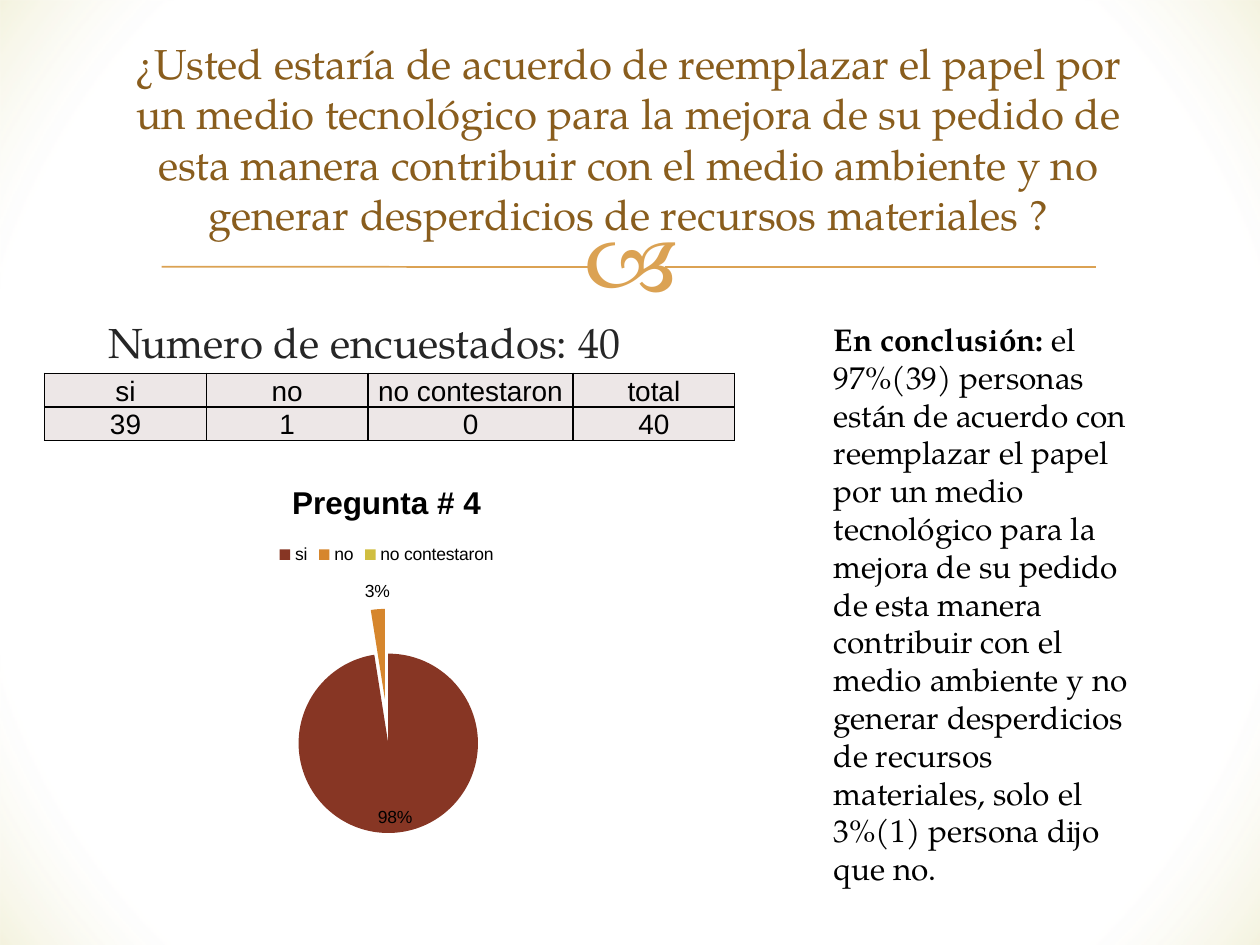
import pptx
import pptx.chart.data
import pptx.dml.color
import pptx.enum.chart
import pptx.enum.shapes
import pptx.enum.text
import pptx.oxml
import pptx.oxml.ns
import pptx.util
from dataclasses import dataclass

Pt = pptx.util.Pt
ALIGN = pptx.enum.text.PP_ALIGN
ANCHOR = pptx.enum.text.MSO_ANCHOR
NS = pptx.oxml.ns.nsdecls("a", "c")


@dataclass(frozen=True)
class Theme:
    serif: str = "TeX Gyre Pagella"
    sans: str = "Arial"
    symbol: str = "Open Sans"
    gold: str = "DBA253"
    brown: str = "895D1D"
    dark: str = "262626"
    black: str = "000000"
    cell: str = "EDE7E7"
    glow: str = "D0C974"
    white: str = "FFFFFF"
    pie: tuple = ("873624", "D6862D", "D0BE40")
    big: int = 24
    mid: int = 18
    grid: int = 16
    small: int = 10
    mark: int = 54


THEME = Theme()
SURVEY = {"si": 39, "no": 1, "no contestaron": 0}
TOTAL = sum(SURVEY.values())
QUERY = ("¿Usted estaría de acuerdo de reemplazar el papel por un medio "
         "tecnológico para la mejora de su pedido de esta manera contribuir con "
         "el medio ambiente y no generar desperdicios de recursos materiales ?")
RESULT = ("el 97%(39) personas están de acuerdo con reemplazar el papel por un "
          "medio tecnológico para la mejora de su pedido de esta manera contribuir "
          "con el medio ambiente y no generar desperdicios de recursos materiales, "
          "solo el 3%(1) persona dijo que no.")


def rgb(code):
    return pptx.dml.color.RGBColor.from_string(code)


def apply(item, props):
    for name, value in props.items():
        setattr(item, name, value)


def style(font, face, size, color, bold=False):
    apply(font, {"name": face, "size": Pt(size), "bold": bold})
    font.color.rgb = rgb(color)


def add_text(slide, box, runs, face, size, color, wrap=True,
             align=ALIGN.LEFT, anchor=ANCHOR.TOP):
    """Place one paragraph made of (text, bold) runs."""
    frame = slide.shapes.add_textbox(*map(Pt, box)).text_frame
    apply(frame, {"word_wrap": wrap, "vertical_anchor": anchor})
    para = frame.paragraphs[0]
    para.alignment = align
    for text, bold in runs:
        run = para.add_run()
        run.text = text
        style(run.font, face, size, color, bold)


def add_glow(slide):
    """Cover the slide with a soft radial tint."""
    shape = slide.shapes.add_shape(
        pptx.enum.shapes.MSO_SHAPE.RECTANGLE, 0, 0, Pt(720), Pt(540))
    shape.shadow.inherit = False
    shape.line.fill.background()
    stops = "".join(
        f'<a:gs pos="{pos}000"><a:srgbClr val="{color}">'
        f'<a:alpha val="{alpha}000"/></a:srgbClr></a:gs>'
        for pos, color, alpha in ((0, THEME.white, 11), (83, THEME.white, 11),
                                  (100, THEME.glow, 23)))
    fill = pptx.oxml.parse_xml(
        f'<a:gradFill {NS} rotWithShape="1"><a:gsLst>{stops}</a:gsLst>'
        '<a:path path="circle"><a:fillToRect l="50000" t="50000" r="50000" '
        'b="50000"/></a:path></a:gradFill>')
    props = shape.element.spPr
    props.insert(props.index(props.prstGeom) + 1, fill)


def add_rule(slide, ends):
    rule = slide.shapes.add_connector(
        pptx.enum.shapes.MSO_CONNECTOR.STRAIGHT, *map(Pt, ends))
    rule.line.width = Pt(1)
    rule.line.color.rgb = rgb(THEME.gold)
    rule.element.spPr.append(pptx.oxml.parse_xml(f"<a:effectLst {NS}/>"))


def add_grid(slide, rows, left, top, widths, height):
    table = slide.shapes.add_table(
        len(rows), len(widths), Pt(left), Pt(top), Pt(sum(widths)),
        Pt(height * len(rows))).table
    apply(table, {"first_row": False, "horz_banding": False})
    for col, width in zip(table.columns, widths):
        col.width = Pt(width)
    for line, texts in zip(table.rows, rows):
        line.height = Pt(height)
        for cell, text in zip(line.cells, texts):
            apply(cell, {"text": str(text), "vertical_anchor": ANCHOR.BOTTOM,
                         "margin_left": Pt(0.75), "margin_right": Pt(0.75),
                         "margin_top": 0, "margin_bottom": 0})
            para = cell.text_frame.paragraphs[0]
            para.alignment = ALIGN.CENTER
            style(para.runs[0].font, THEME.sans, THEME.grid, THEME.black)
            cell.fill.solid()
            cell.fill.fore_color.rgb = rgb(THEME.cell)
            props = cell._tc.get_or_add_tcPr()
            for spot, side in enumerate(("lnL", "lnR", "lnT", "lnB")):
                props.insert(spot, pptx.oxml.parse_xml(
                    f'<a:{side} {NS} w="12700"><a:solidFill><a:srgbClr '
                    f'val="{THEME.black}"/></a:solidFill></a:{side}>'))


def add_pie(slide, box):
    data = pptx.chart.data.CategoryChartData()
    data.categories = list(SURVEY)
    data.add_series("Series 1", list(SURVEY.values()))
    chart = slide.shapes.add_chart(
        pptx.enum.chart.XL_CHART_TYPE.PIE, *map(Pt, box), data).chart
    style(chart.font, THEME.sans, THEME.small, THEME.black)

    # Title and legend
    chart.has_title = True
    title = chart.chart_title.text_frame
    title.text = "Pregunta # 4"
    style(title.paragraphs[0].runs[0].font, THEME.sans, THEME.mid,
          THEME.black, True)
    chart.has_legend = True
    apply(chart.legend, {"include_in_layout": False,
                         "position": pptx.enum.chart.XL_LEGEND_POSITION.TOP})

    # Slices and percentages
    plot = chart.plots[0]
    plot.vary_by_categories = True
    series = plot.series[0]
    for spot, color in enumerate(THEME.pie):
        fill = series.points[spot].format.fill
        fill.solid()
        fill.fore_color.rgb = rgb(color)
    labels = series.data_labels
    apply(labels, {"show_percentage": True, "show_value": False,
                   "number_format": "0%", "number_format_is_linked": False,
                   "position": pptx.enum.chart.XL_LABEL_POSITION.BEST_FIT})
    style(labels.font, THEME.sans, THEME.small, THEME.black)
    labels._element.insert(0, pptx.oxml.parse_xml(
        f'<c:dLbl {NS}><c:idx val="2"/><c:delete val="1"/></c:dLbl>'))
    first = series._element.find(pptx.oxml.ns.qn("c:dPt"))
    first.addprevious(pptx.oxml.parse_xml(f'<c:explosion {NS} val="25"/>'))

    # Plot area
    area = plot._element.getparent()
    for old in area.findall(pptx.oxml.ns.qn("c:layout")):
        area.remove(old)
    sizes = "".join(f'<c:{tag} val="{value}"/>' for tag, value in (
        ("layoutTarget", "inner"), ("xMode", "edge"), ("yMode", "edge"),
        ("x", 0.33), ("y", 0.38), ("w", 0.34), ("h", 0.58)))
    area.insert(0, pptx.oxml.parse_xml(
        f"<c:layout {NS}><c:manualLayout>{sizes}</c:manualLayout></c:layout>"))


def main():
    deck = pptx.Presentation()
    apply(deck, {"slide_width": Pt(720), "slide_height": Pt(540)})
    slide = deck.slides.add_slide(deck.slide_layouts[6])

    # Backdrop and ornament
    add_glow(slide)
    add_text(slide, (326.9, 109.4, 69, 73), [("🙢", False)], THEME.symbol,
             THEME.mark, THEME.gold, wrap=False)
    add_rule(slide, (337.7, 152.6, 92.4, 152.4))
    add_rule(slide, (626.2, 152.4, 380.2, 152.4))

    # Question and sample size
    add_text(slide, (54.7, 177.1, 610, 305), [("Numero de encuestados: 40", False)],
             THEME.serif, THEME.big, THEME.dark)
    add_text(slide, (53.8, 37.4, 610.6, 83), [(QUERY, False)], THEME.serif,
             THEME.big, THEME.brown, align=ALIGN.CENTER, anchor=ANCHOR.MIDDLE)

    # Results
    rows = [[*SURVEY, "total"], [*SURVEY.values(), TOTAL]]
    add_grid(slide, rows, 25.5, 213.3, (92.4, 92.4, 117.2, 92.4), 15)
    add_text(slide, (469.4, 179.3, 193, 334),
             [("En conclusión: ", True), (RESULT, False)],
             THEME.serif, THEME.mid, THEME.black)
    add_pie(slide, (25.4, 264, 391, 221))
    deck.save("out.pptx")


if __name__ == "__main__":
    main()
